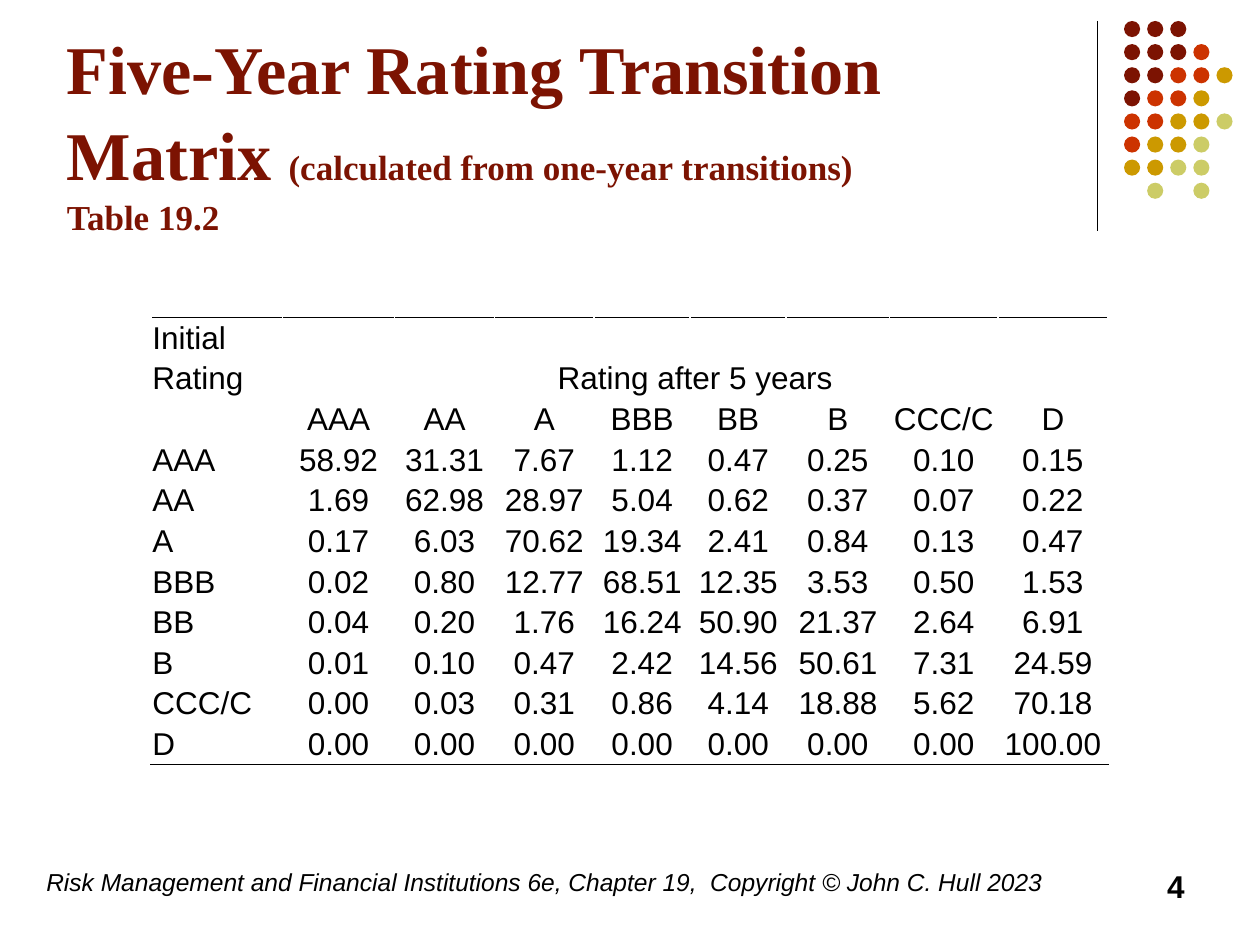
from dataclasses import dataclass

from lxml.etree import SubElement
from pptx import Presentation
from pptx.dml.color import RGBColor
from pptx.enum.shapes import MSO_CONNECTOR as Connector, MSO_SHAPE as Shape
from pptx.enum.text import MSO_ANCHOR as Anchor, MSO_AUTO_SIZE as AutoSize, PP_ALIGN as Align
from pptx.oxml import parse_xml
from pptx.oxml.ns import nsdecls, qn
from pptx.util import Pt


@dataclass(frozen=True)
class Theme:
    ink: str = "000000"
    maroon: str = "7C1302"
    red: str = "CC3300"
    gold: str = "CC9900"
    olive: str = "CCCC66"
    serif: str = "Times New Roman"
    sans: str = "Arial"
    title: float = 39
    subtitle: float = 20
    body: float = 18
    footer: float = 14
    rule: float = 0.75
    border: float = 1


THEME = Theme()

DOT_COLOURS = {"M": THEME.maroon, "R": THEME.red, "G": THEME.gold, "O": THEME.olive}
DOT_ROWS = ["MMM", "MMMR", "MMRRG", "MRRG", "RRGGO", "RGGO", "GGOO", " O O"]

RATINGS = ["AAA", "AA", "A", "BBB", "BB", "B", "CCC/C", "D"]
TRANSITIONS = [
    [58.92, 31.31, 7.67, 1.12, 0.47, 0.25, 0.10, 0.15],
    [1.69, 62.98, 28.97, 5.04, 0.62, 0.37, 0.07, 0.22],
    [0.17, 6.03, 70.62, 19.34, 2.41, 0.84, 0.13, 0.47],
    [0.02, 0.80, 12.77, 68.51, 12.35, 3.53, 0.50, 1.53],
    [0.04, 0.20, 1.76, 16.24, 50.90, 21.37, 2.64, 6.91],
    [0.01, 0.10, 0.47, 2.42, 14.56, 50.61, 7.31, 24.59],
    [0.00, 0.03, 0.31, 0.86, 4.14, 18.88, 5.62, 70.18],
    [0.00, 0.00, 0.00, 0.00, 0.00, 0.00, 0.00, 100.00],
]
COLUMN_WIDTHS = [75, 64.2, 57, 57, 54.9, 54.9, 59.1, 61.9, 62.9]


def style_font(font, name, size, colour, bold=False, italic=False):
    font.name, font.size = name, Pt(size)
    font.bold, font.italic = bold, italic
    font.color.rgb = RGBColor.from_string(colour)


def place(shape, box):
    shape.left, shape.top, shape.width, shape.height = (Pt(length) for length in box)


def add_title(page, box):
    title = page.shapes.title
    place(title, box)
    frame = title.text_frame
    frame.word_wrap = True
    frame.auto_size = AutoSize.NONE
    frame.vertical_anchor = Anchor.BOTTOM
    para = frame.paragraphs[0]
    para.alignment = Align.LEFT
    para.line_spacing = 1.05
    para.space_before = Pt(0)
    parts = [
        ("Five-Year Rating Transition Matrix ", THEME.title),
        ("(calculated from one-year transitions)", THEME.subtitle),
        ("Table 19.2", THEME.subtitle),
    ]
    for index, (words, size) in enumerate(parts):
        if index == 2:
            para.add_line_break()
        span = para.add_run()
        span.text = words
        style_font(span.font, THEME.serif, size, THEME.maroon, bold=True)


def add_dot_corner(page, box):
    left, top, width, height = box
    rule = page.shapes.add_connector(
        Connector.STRAIGHT, Pt(left), Pt(top), Pt(left), Pt(top + height))
    rule.line.color.rgb = RGBColor.from_string(THEME.ink)
    rule.line.width = Pt(THEME.rule)
    SubElement(rule._element.spPr, qn("a:effectLst"))

    size, pitch = 9.2, 13.2
    dots_left = left + width - size - 4 * pitch
    group = page.shapes.add_group_shape()
    for row, colours in enumerate(DOT_ROWS):
        for column, key in enumerate(colours):
            if key == " ":
                continue
            dot = group.shapes.add_shape(
                Shape.OVAL, Pt(dots_left + column * pitch), Pt(top + row * pitch),
                Pt(size), Pt(size))
            dot.shadow.inherit = False
            dot.fill.solid()
            dot.fill.fore_color.rgb = RGBColor.from_string(DOT_COLOURS[key])
            dot.line.fill.background()


def add_border(cell, side):
    border = parse_xml(
        f'<a:{side} {nsdecls("a")} w="{Pt(THEME.border)}"><a:solidFill>'
        f'<a:srgbClr val="{THEME.ink}"/></a:solidFill></a:{side}>')
    cell._tc.get_or_add_tcPr().insert(0, border)


def fill_cell(cell, words, align):
    cell.margin_left = cell.margin_right = cell.margin_top = Pt(0.75)
    cell.margin_bottom = Pt(0)
    cell.vertical_anchor = Anchor.MIDDLE
    cell.fill.background()
    cell.text = words
    para = cell.text_frame.paragraphs[0]
    para.alignment = align
    style_font(para.font, THEME.sans, THEME.body, THEME.ink)
    for span in para.runs:
        style_font(span.font, THEME.sans, THEME.body, THEME.ink)


def add_matrix(page, box):
    blanks = [""] * len(RATINGS)
    rows = [["Initial", *blanks], ["Rating", "Rating after 5 years", *blanks[1:]], ["", *RATINGS]]
    for rating, values in zip(RATINGS, TRANSITIONS):
        rows.append([rating, *(f"{value:.2f}" for value in values)])

    frame = page.shapes.add_table(
        len(rows), len(COLUMN_WIDTHS), *(Pt(length) for length in box))
    table = frame.table
    table.first_row = table.horz_banding = False
    for column, width in zip(table.columns, COLUMN_WIDTHS):
        column.width = Pt(width)
    for row in table.rows:
        row.height = Pt(round(box[3] / len(rows), 2))
    for row, texts in enumerate(rows):
        for column, words in enumerate(texts):
            cell = table.cell(row, column)
            fill_cell(cell, words, Align.CENTER if column else Align.LEFT)
            if row == 0:
                add_border(cell, "lnT")
            elif row == len(rows) - 1:
                add_border(cell, "lnB")
    table.cell(1, 1).merge(table.cell(1, len(RATINGS)))


def add_footer_text(page, box, words, size, align, bold=False, italic=False):
    label = page.shapes.add_textbox(*(Pt(length) for length in box))
    frame = label.text_frame
    frame.word_wrap = True
    frame.text = words
    para = frame.paragraphs[0]
    para.alignment = align
    style_font(para.runs[0].font, THEME.sans, size, THEME.ink, bold, italic)


def main():
    deck = Presentation()
    deck.slide_width, deck.slide_height = Pt(720), Pt(540)
    page = deck.slides.add_slide(deck.slide_layouts[5])
    add_dot_corner(page, (627, 12, 77.3, 120))
    add_title(page, (31, 37.4, 594, 102.2))
    add_footer_text(
        page, (19.4, 491.8, 595.4, 36),
        "Risk Management and Financial Institutions 6e, Chapter 19,  Copyright © John C. Hull 2023",
        THEME.footer, Align.LEFT, italic=True)
    add_footer_text(page, (516, 491.8, 168, 36), "4", THEME.body, Align.RIGHT, bold=True)
    add_matrix(page, (86.4, 181.4, sum(COLUMN_WIDTHS), 255.6))
    deck.save("out.pptx")


if __name__ == "__main__":
    main()
